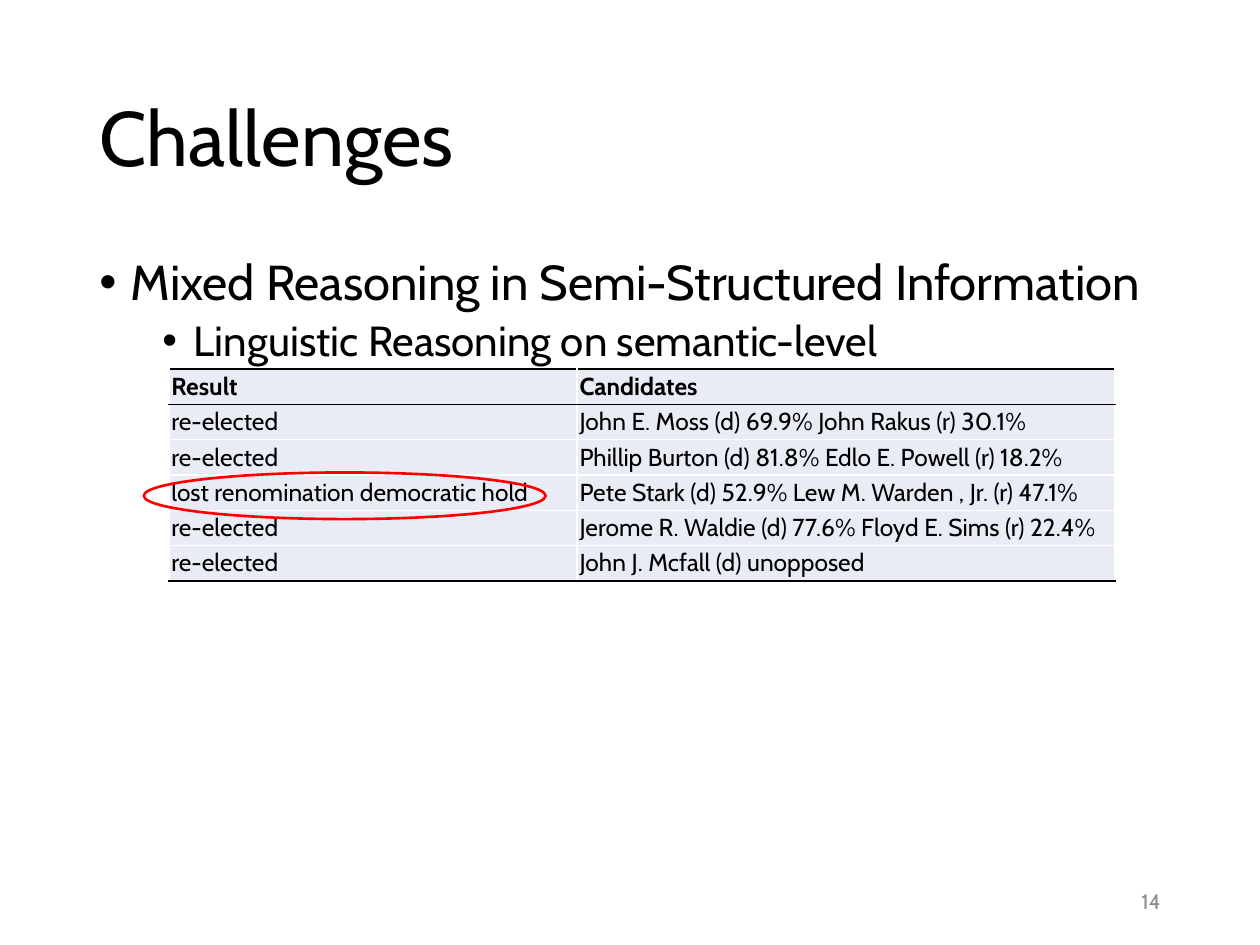
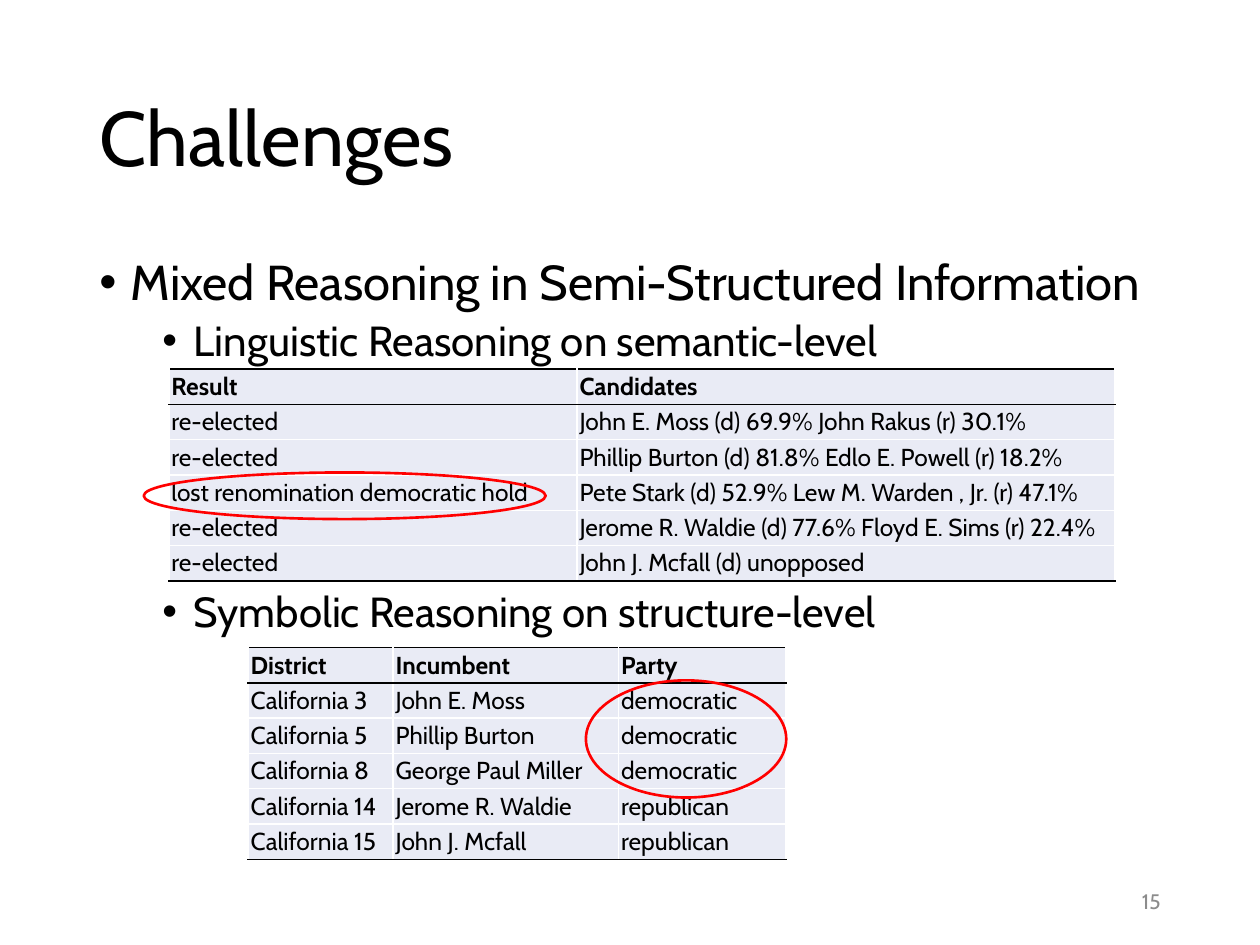
from lxml import etree
from pptx import Presentation
from pptx.dml.color import RGBColor
from pptx.enum.shapes import MSO_SHAPE
from pptx.enum.text import MSO_ANCHOR, MSO_AUTO_SIZE, PP_ALIGN
from pptx.oxml.ns import qn
from pptx.util import Inches, Pt

RESULTS = [
    ("Result", "Candidates"),
    ("re-elected", "John E. Moss (d) 69.9% John Rakus (r) 30.1%"),
    ("re-elected", "Phillip Burton (d) 81.8% Edlo E. Powell (r) 18.2%"),
    ("lost renomination democratic hold",
     "Pete Stark (d) 52.9% Lew M. Warden , Jr. (r) 47.1%"),
    ("re-elected", "Jerome R. Waldie (d) 77.6% Floyd E. Sims (r) 22.4%"),
    ("re-elected", "John J. Mcfall (d) unopposed"),
]
PARTIES = [
    ("District", "Incumbent", "Party"),
    ("California 3", "John E. Moss", "democratic"),
    ("California 5", "Phillip Burton", "democratic"),
    ("California 8", "George Paul Miller", "democratic"),
    ("California 14", "Jerome R. Waldie", "republican"),
    ("California 15", "John J. Mcfall", "republican"),
]
# Bullets: text, level, space before in points
LINGUISTIC = [
    ("Mixed Reasoning in Semi-Structured Information", 0, 0),
    ("Linguistic Reasoning on semantic-level", 1, 5),
]
# The large gap leaves room for the results table
SYMBOLIC = ("Symbolic Reasoning on structure-level", 1, 129)


def rgb(color):
    return RGBColor.from_string(color)


class Deck:
    FONT = "Cabin"
    TEXT, MUTED, MARK = "000000", "8C8C8C", "FF0000"
    CELL, GRID, RULE = "E9EBF5", "FFFFFF", "000000"
    LEFT, WIDTH = 0.69, 8.62
    ROW_HEIGHT = 0.28
    BULLET_SIZES = (28, 24)
    BULLET_INDENTS = (0.25, 0.75)

    def __init__(self):
        self.prs = Presentation()
        self.prs.slide_width, self.prs.slide_height = Inches(10), Inches(7.5)
        self.s = None

    def add_run(self, p, text, size, color=TEXT, bold=False):
        r = p.add_run()
        r.text = text
        r.font.name, r.font.size, r.font.bold = self.FONT, Pt(size), bold
        r.font.color.rgb = rgb(color)

    def add_slide(self, title, number):
        self.s = self.prs.slides.add_slide(self.prs.slide_layouts[5])
        # Title
        sp = self.s.shapes.title
        sp.left, sp.top = Inches(self.LEFT), Inches(0.4)
        sp.width, sp.height = Inches(self.WIDTH), Inches(1.45)
        tf = sp.text_frame
        tf.auto_size = MSO_AUTO_SIZE.NONE
        tf.vertical_anchor = MSO_ANCHOR.MIDDLE
        p = tf.paragraphs[0]
        p.alignment, p.line_spacing = PP_ALIGN.LEFT, 0.9
        self.add_run(p, title, 44)
        # Slide number
        tf = self.add_text_box(7.06, 6.95, 2.25, 0.4)
        tf.vertical_anchor = MSO_ANCHOR.MIDDLE
        p = tf.paragraphs[0]
        p.alignment = PP_ALIGN.RIGHT
        self.add_run(p, str(number), 12, self.MUTED)

    def add_text_box(self, left, top, width, height):
        sp = self.s.shapes.add_textbox(Inches(left), Inches(top),
                                       Inches(width), Inches(height))
        sp.text_frame.word_wrap = True
        return sp.text_frame

    def add_bullets(self, items):
        tf = self.add_text_box(self.LEFT, 2, self.WIDTH, 4.76)
        for i, (text, level, before) in enumerate(items):
            p = tf.add_paragraph() if i else tf.paragraphs[0]
            p.level, p.line_spacing, p.space_before = level, 0.9, Pt(before)
            pPr = p._p.get_or_add_pPr()
            pPr.set("marL", str(Inches(self.BULLET_INDENTS[level])))
            pPr.set("indent", str(Inches(-0.25)))
            etree.SubElement(pPr, qn("a:buFont"), typeface="Arial")
            etree.SubElement(pPr, qn("a:buChar"), char="•")
            self.add_run(p, text, self.BULLET_SIZES[level])

    def add_border(self, cell, side, color):
        ln = etree.SubElement(cell._tc.get_or_add_tcPr(), qn(f"a:ln{side}"),
                              w=str(Pt(1)))
        fill = etree.SubElement(ln, qn("a:solidFill"))
        etree.SubElement(fill, qn("a:srgbClr"), val=color)

    def add_table(self, left, top, col_widths, rows):
        table = self.s.shapes.add_table(
            len(rows), len(col_widths), Inches(left), Inches(top),
            Inches(sum(col_widths)), Inches(self.ROW_HEIGHT * len(rows))).table
        table.horz_banding = False
        for col, width in zip(table.columns, col_widths):
            col.width = Inches(width)
        for i, values in enumerate(rows):
            table.rows[i].height = Inches(self.ROW_HEIGHT)
            # Black rules frame the header and close the table
            top_color = self.RULE if i < 2 else self.GRID
            bottom_color = self.RULE if i in (0, len(rows) - 1) else self.GRID
            for j, value in enumerate(values):
                cell = table.cell(i, j)
                cell.margin_left = cell.margin_right = Inches(0.02)
                cell.margin_top = cell.margin_bottom = Inches(0.02)
                cell.vertical_anchor = MSO_ANCHOR.MIDDLE
                for side, color in zip("LRTB", (self.GRID, self.GRID,
                                                top_color, bottom_color)):
                    self.add_border(cell, side, color)
                cell.fill.solid()
                cell.fill.fore_color.rgb = rgb(self.CELL)
                self.add_run(cell.text_frame.paragraphs[0], value, 14,
                             bold=i == 0)

    def add_mark(self, left, top, width, height):
        sp = self.s.shapes.add_shape(MSO_SHAPE.OVAL, Inches(left), Inches(top),
                                     Inches(width), Inches(height))
        sp.shadow.inherit = False
        sp.fill.background()
        sp.line.color.rgb = rgb(self.MARK)
        sp.line.width = Pt(1.5)

    def add_challenges(self, number, bullets):
        self.add_slide("Challenges", number)
        self.add_bullets(bullets)
        self.add_table(1.34, 2.93, (3.24, 4.27), RESULTS)
        self.add_mark(1.14, 3.75, 3.19, 0.37)


def main():
    deck = Deck()

    # Linguistic reasoning
    deck.add_challenges(14, LINGUISTIC)

    # Linguistic and symbolic reasoning
    deck.add_challenges(15, LINGUISTIC + [SYMBOLIC])
    deck.add_table(1.97, 5.14, (1.15, 1.79, 1.33), PARTIES)
    deck.add_mark(4.65, 5.4, 1.59, 0.93)

    deck.prs.save("out.pptx")


if __name__ == "__main__":
    main()
